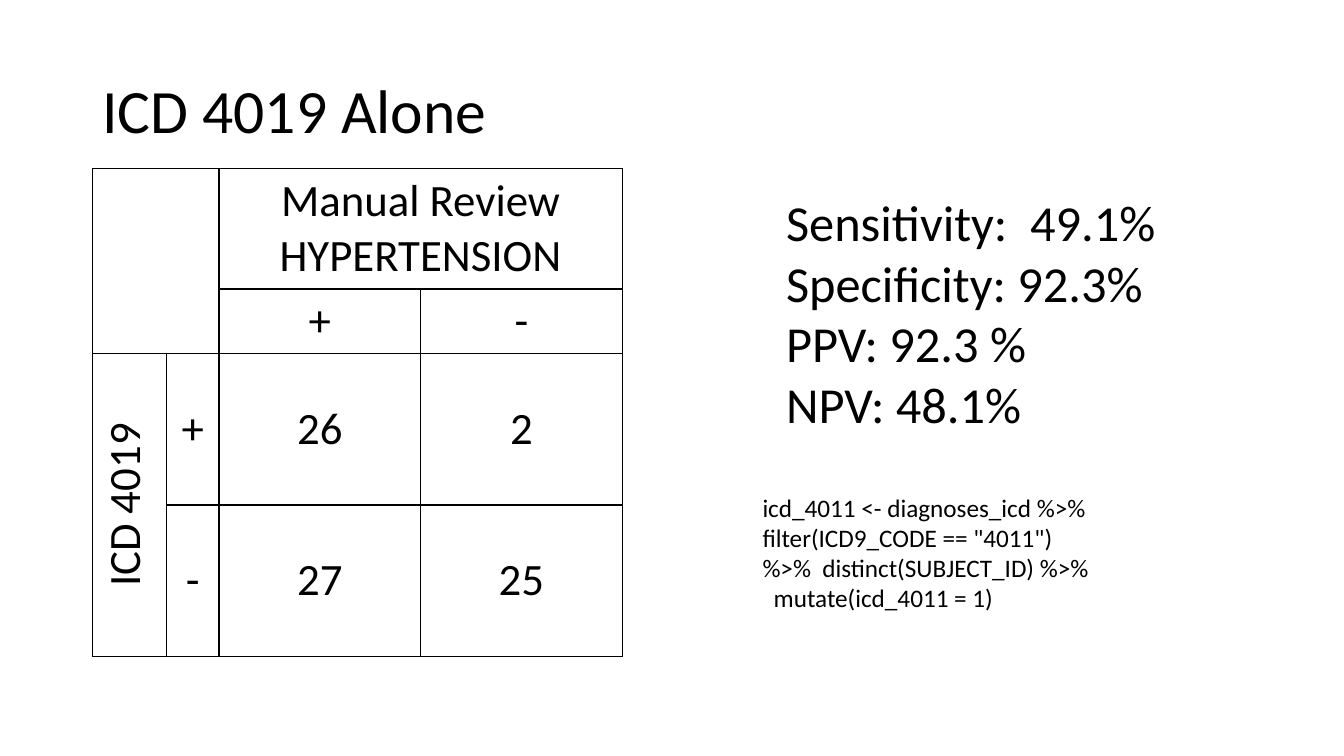
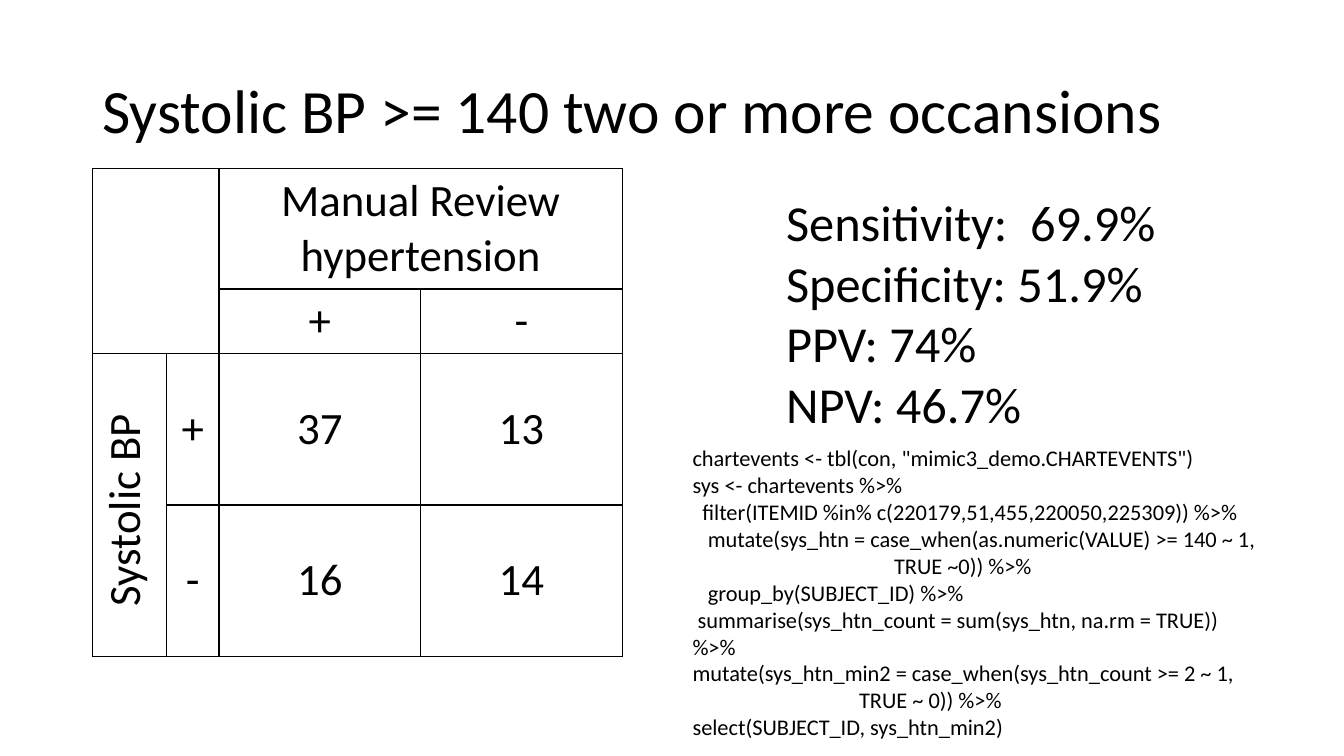
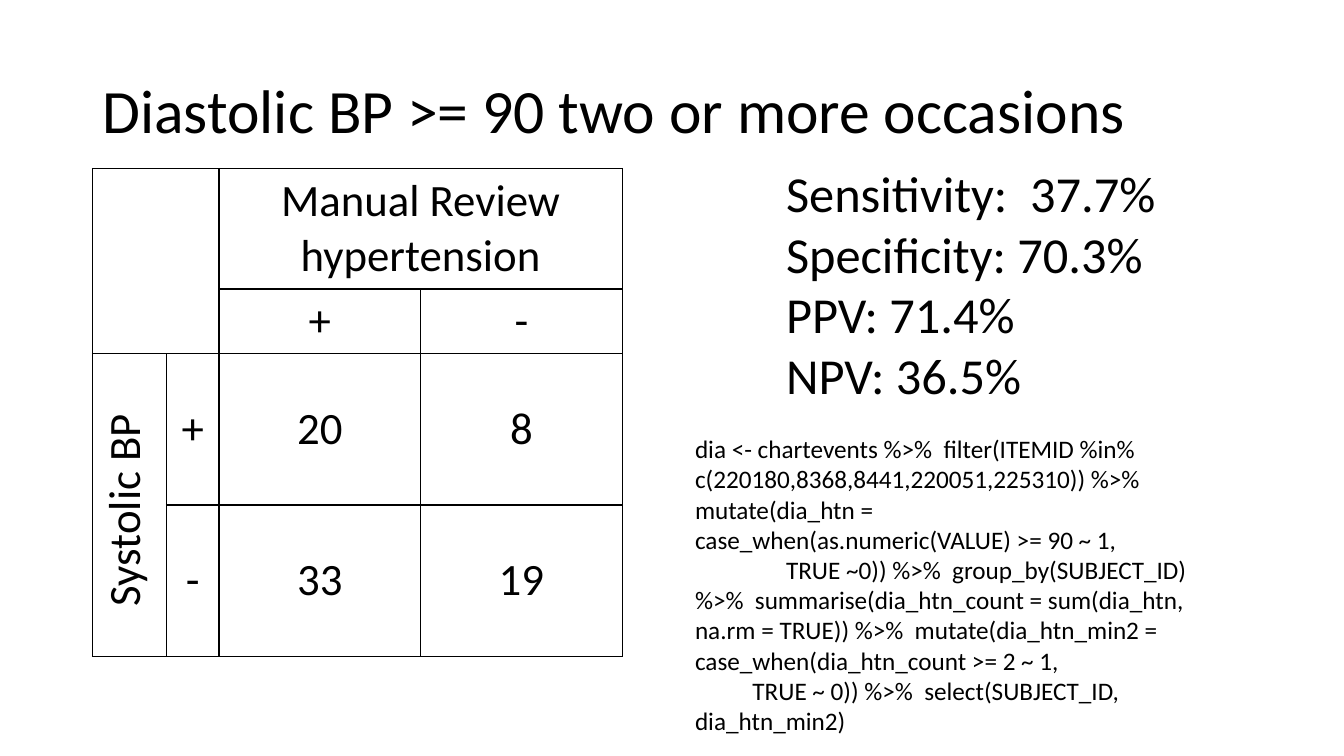
from itertools import product

from pptx import Presentation
from pptx.dml.color import RGBColor
from pptx.enum.text import MSO_ANCHOR, MSO_AUTO_SIZE, PP_ALIGN
from pptx.oxml import parse_xml
from pptx.oxml.ns import nsdecls
from pptx.util import Pt

# Shared style
FONT = "Calibri"
INK = "000000"
TITLE_SIZE, METRIC_SIZE, TABLE_SIZE = 44, 36, 32
TITLE_BOX = (66, 29, 828, 104.4)
TABLE_AT = (66, 120.4)
COLUMN_WIDTHS = (53, 37.5, 144, 144)
ROW_HEIGHTS = (86, 46, 108, 108)

# Content: a code line is its text and its first-line indent
STUDIES = [
    dict(
        title="ICD 4019 Alone",
        condition="Manual Review HYPERTENSION",
        test="ICD 4019",
        counts=((26, 2), (27, 25)),
        metrics=["Sensitivity:  49.1%", "Specificity: 92.3%",
                 "PPV: 92.3 %", "NPV: 48.1%"],
        metrics_top=133.2,
        code_box=(537.6, 347.8, 254.2, 94.5),
        code_size=18,
        code=[
            ('icd_4011 <- diagnoses_icd %>% filter(ICD9_CODE == "4011") '
             '%>%  distinct(SUBJECT_ID) %>%', 0),
            ("mutate(icd_4011 = 1)", 8),
        ],
    ),
    dict(
        title="Systolic BP >= 140 two or more occansions",
        condition="Manual Review hypertension",
        test="Systolic BP ",
        counts=((37, 13), (16, 14)),
        metrics=["Sensitivity:  69.9%", "Specificity: 51.9%",
                 "PPV: 74%", "NPV: 46.7%"],
        metrics_top=133.2,
        code_box=(487.6, 314, 419, 226),
        code_size=16,
        code=[
            ('chartevents <- tbl(con, "mimic3_demo.CHARTEVENTS")', 0),
            ("sys <- chartevents %>%", 0),
            ("filter(ITEMID %in% c(220179,51,455,220050,225309)) %>%", 7),
            ("mutate(sys_htn = case_when(as.numeric(VALUE) >= 140 ~ 1,", 11),
            ("TRUE ~0)) %>%", 144),
            ("group_by(SUBJECT_ID) %>%", 11),
            ("summarise(sys_htn_count = sum(sys_htn, na.rm = TRUE)) %>%", 3.6),
            ("mutate(sys_htn_min2 = case_when(sys_htn_count >= 2 ~ 1,", 0),
            ("TRUE ~ 0)) %>%", 119),
            ("select(SUBJECT_ID, sys_htn_min2)", 0),
        ],
    ),
    dict(
        title="Diastolic BP >= 90 two or more occasions",
        condition="Manual Review hypertension",
        test="Systolic BP ",
        counts=((20, 8), (33, 19)),
        metrics=["Sensitivity:  37.7%", "Specificity: 70.3%",
                 "PPV: 71.4%", "NPV: 36.5%"],
        metrics_top=112.3,
        code_box=(489.4, 306, 368, 225.4),
        code_size=18,
        code=[
            ("dia <- chartevents %>%  filter(ITEMID %in% "
             "c(220180,8368,8441,220051,225310)) %>%  mutate(dia_htn = "
             "case_when(as.numeric(VALUE) >= 90 ~ 1,", 0),
            ("TRUE ~0)) %>%  group_by(SUBJECT_ID) %>%  "
             "summarise(dia_htn_count = sum(dia_htn, na.rm = TRUE)) %>%  "
             "mutate(dia_htn_min2 = case_when(dia_htn_count >= 2 ~ 1,", 65),
            ("TRUE ~ 0)) %>%  select(SUBJECT_ID, dia_htn_min2)", 41),
        ],
    ),
]


def color(hex_string):
    return RGBColor.from_string(hex_string)


def points(lengths):
    return [Pt(length) for length in lengths]


def write(frame, lines, size, align=PP_ALIGN.LEFT, spacing=None):
    """Fill a text frame; a line is a string or a (string, indent) pair."""
    for number, line in enumerate(lines):
        text, indent = line if isinstance(line, tuple) else (line, 0)
        paragraph = frame.paragraphs[0] if number == 0 else frame.add_paragraph()
        paragraph.alignment = align
        if spacing:
            paragraph.line_spacing = spacing
        if indent:
            properties = paragraph._p.get_or_add_pPr()
            properties.set("marL", "0")
            properties.set("indent", str(Pt(indent)))
        run = paragraph.add_run()
        run.text = text
        run.font.name = FONT
        run.font.size = Pt(size)
        run.font.color.rgb = color(INK)


def add_title(slide, text):
    title = slide.shapes.title
    title.left, title.top, title.width, title.height = points(TITLE_BOX)
    title.text_frame.vertical_anchor = MSO_ANCHOR.MIDDLE
    write(title.text_frame, [text], TITLE_SIZE, spacing=0.9)


def add_text_box(slide, box, lines, size, wrap=True):
    frame = slide.shapes.add_textbox(*points(box)).text_frame
    frame.word_wrap = wrap
    frame.auto_size = MSO_AUTO_SIZE.SHAPE_TO_FIT_TEXT
    write(frame, lines, size)


def add_borders(cell):
    properties = cell._tc.get_or_add_tcPr()
    for side in ("lnL", "lnR", "lnT", "lnB"):
        properties.append(parse_xml(
            f'<a:{side} {nsdecls("a")} w="{Pt(1)}"><a:solidFill>'
            f'<a:srgbClr val="{INK}"/></a:solidFill></a:{side}>'))


def add_confusion_table(slide, condition, test, counts):
    table = slide.shapes.add_table(
        len(ROW_HEIGHTS), len(COLUMN_WIDTHS), *points(TABLE_AT),
        Pt(sum(COLUMN_WIDTHS)), Pt(sum(ROW_HEIGHTS))).table
    table.first_row = table.horz_banding = False
    for column, width in zip(table.columns, COLUMN_WIDTHS):
        column.width = Pt(width)
    for row, height in zip(table.rows, ROW_HEIGHTS):
        row.height = Pt(height)

    for cell in table.iter_cells():
        add_borders(cell)
        cell.fill.background()
        cell.vertical_anchor = MSO_ANCHOR.MIDDLE

    # Merged headings
    table.cell(0, 0).merge(table.cell(1, 1))
    table.cell(0, 2).merge(table.cell(0, 3))
    table.cell(2, 0).merge(table.cell(3, 0))
    table.cell(0, 2).vertical_anchor = MSO_ANCHOR.TOP
    table.cell(2, 0)._tc.get_or_add_tcPr().set("vert", "vert270")

    labels = {(0, 2): condition, (2, 0): test}
    for offset, sign in enumerate("+-"):
        labels[1, 2 + offset] = labels[2 + offset, 1] = sign
    for row, column in product(range(2), repeat=2):
        labels[2 + row, 2 + column] = str(counts[row][column])
    for position, label in labels.items():
        write(table.cell(*position).text_frame, [label], TABLE_SIZE,
              align=PP_ALIGN.CENTER)


def main():
    presentation = Presentation()
    presentation.slide_width, presentation.slide_height = Pt(960), Pt(540)
    title_only = presentation.slide_layouts[5]
    for study in STUDIES:
        slide = presentation.slides.add_slide(title_only)
        add_title(slide, study["title"])
        add_confusion_table(slide, study["condition"], study["test"],
                            study["counts"])
        add_text_box(slide, (554.4, study["metrics_top"], 281.5, 181.4),
                     study["metrics"], METRIC_SIZE, wrap=False)
        add_text_box(slide, study["code_box"], study["code"],
                     study["code_size"])
    presentation.save("out.pptx")


if __name__ == "__main__":
    main()
